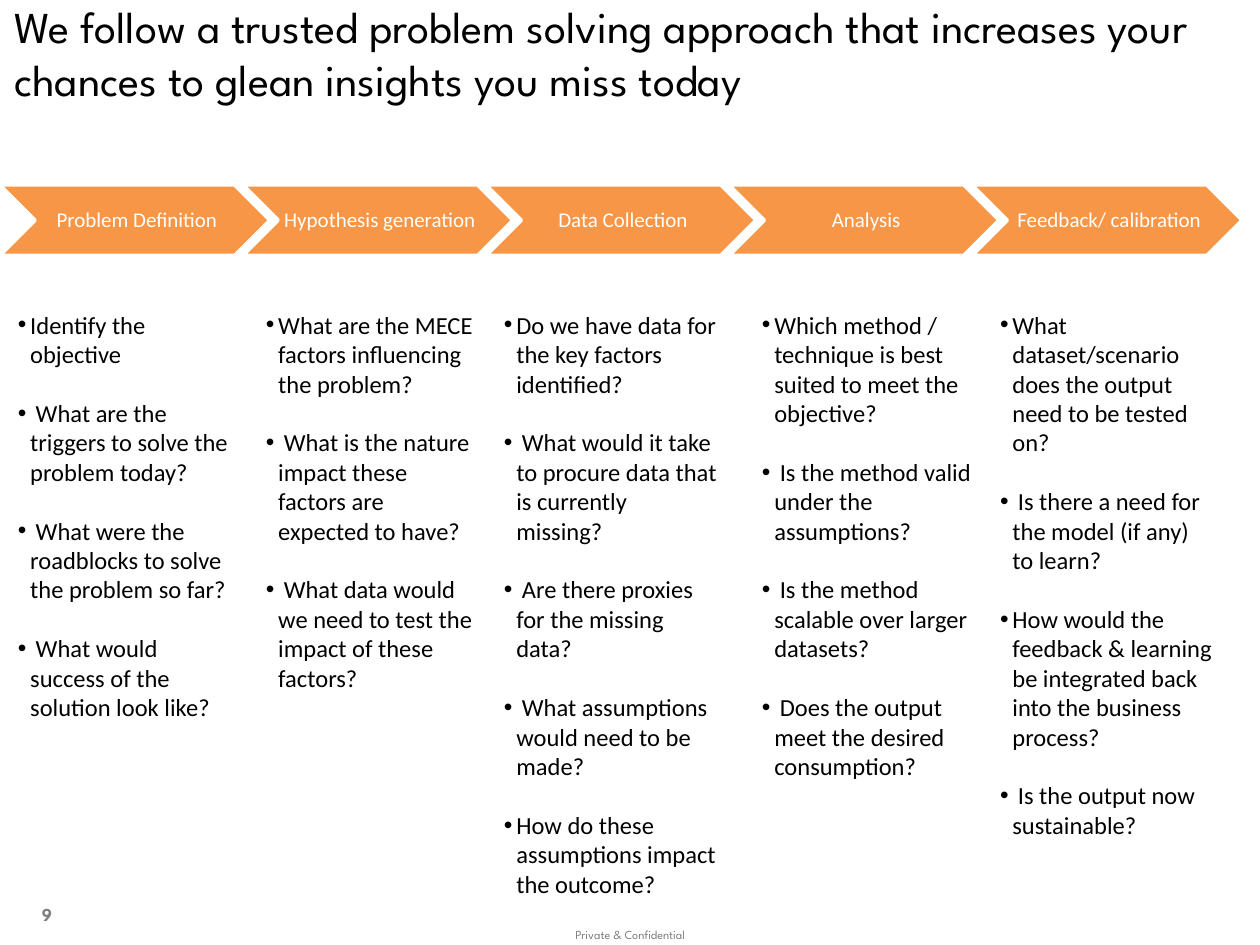
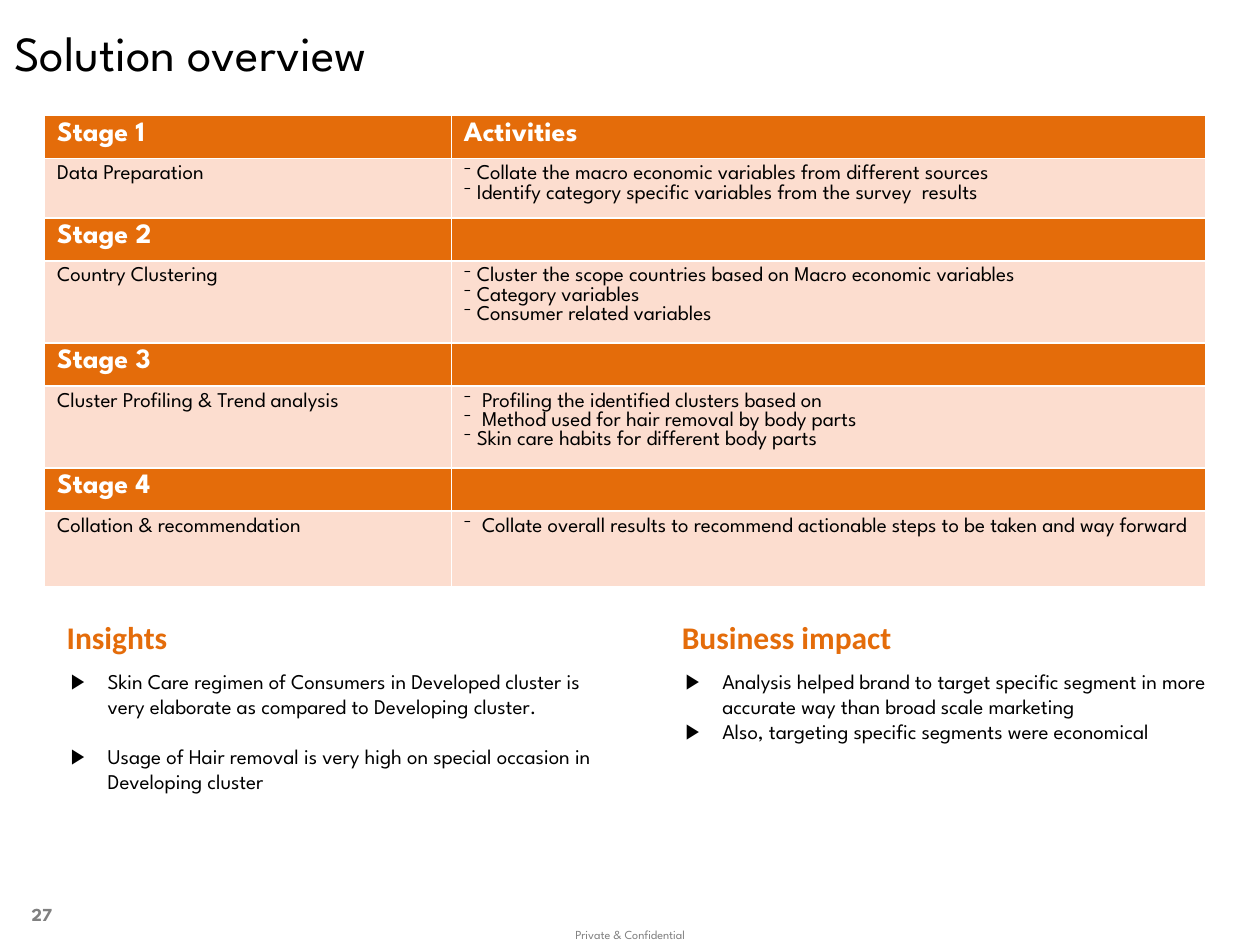
import pptx
import pptx.dml.color
import pptx.enum.shapes
import pptx.enum.text
import pptx.oxml
import pptx.oxml.ns
import pptx.util
from lxml import etree

Cm = pptx.util.Cm
Pt = pptx.util.Pt
ALIGN = pptx.enum.text.PP_ALIGN
ANCHOR = pptx.enum.text.MSO_ANCHOR
qn = pptx.oxml.ns.qn

COLORS = {
    "text": "000000",
    "white": "FFFFFF",
    "footer": "808080",
    "step": "F79646",
    "accent": "E46C0A",
    "activity": "FCDDCF",
}
DISPLAY = "League Spartan"
BODY = "Calibri"


def style(name, size, color="text", bold=False, **paragraph):
    return {
        "font": {"name": name, "size": Pt(size), "bold": bold},
        "color": color,
        "paragraph": paragraph,
    }


STYLES = {
    "page": style(DISPLAY, 10.5, "footer", True, alignment=ALIGN.RIGHT),
    "footer": style(DISPLAY, 7, "footer", alignment=ALIGN.CENTER, line_spacing=0.9),
    "step": style(BODY, 12, "white", alignment=ALIGN.CENTER, line_spacing=0.9),
    "question": style(BODY, 14, space_after=Pt(16.8)),
    "stage": style(DISPLAY, 16, "white", True),
    "activity": style(DISPLAY, 12),
    "heading": style(BODY, 18, "accent", True, space_before=Pt(0)),
    "finding": style(DISPLAY, 12, space_before=Pt(0)),
}

STEPS = [
    ("Problem Definition", 0.11, [
        "Identify the objective",
        " What are the triggers to solve the problem today?",
        " What were the roadblocks to solve the problem so far?",
        " What would success of the solution look like?",
    ]),
    ("Hypothesis generation", 5.11, [
        "What are the MECE factors influencing the problem?",
        " What is the nature impact these factors are expected to have?",
        " What data would we need to test the impact of these factors?",
    ]),
    ("Data Collection", 9.91, [
        "Do we have data for the key factors identified?",
        " What would it take to procure data that is currently missing?",
        " Are there proxies  for the missing data?",
        " What assumptions would need to be made?",
        "How do these assumptions impact the outcome?",
    ]),
    ("Analysis", 15.11, [
        "Which method / technique is best suited to meet the objective?",
        " Is the method valid under the assumptions?",
        " Is the method scalable over larger datasets?",
        " Does the output meet the desired consumption?",
    ]),
    ("Feedback/ calibration", 19.91, [
        "What dataset/scenario does the output need to be tested on?",
        " Is there a need for the model (if any) to learn?",
        "How would the feedback & learning be integrated back into the business process?",
        " Is the output now sustainable?",
    ]),
]

STAGES = [
    ("Data Preparation", 1.19, [
        "Collate the macro economic variables from different sources",
        "Identify category specific variables from the survey  results",
    ]),
    ("Country Clustering", 1.6, [
        "Cluster the scope countries based on Macro economic variables",
        "Category variables",
        "Consumer related variables",
    ]),
    ("Cluster Profiling & Trend analysis", 1.55, [
        " Profiling the identified clusters based on",
        " Method used for hair removal by body parts",
        "Skin care habits for different body parts",
    ]),
    ("Collation & recommendation", 1.52, [
        " Collate overall results to recommend actionable steps to be taken and way forward",
    ]),
]

FINDINGS = [
    ("Insights", 1.09, 1.3, 11.23, 14.4, [
        "Skin Care regimen of Consumers in Developed cluster is very elaborate as compared to Developing cluster.",
        "Usage of Hair removal is very high on special occasion in Developing cluster",
    ]),
    ("Business impact", 13.49, 13.69, 11.07, 0, [
        "Analysis helped brand to target specific segment in more accurate way than broad scale marketing",
        "Also, targeting specific segments were economical",
    ]),
]


def rgb(color):
    return pptx.dml.color.RGBColor.from_string(COLORS[color])


def set_values(target, values):
    for name, value in values.items():
        setattr(target, name, value)


def place(shape, left, top, width, height):
    box = dict(left=left, top=top, width=width, height=height)
    set_values(shape, {side: Cm(length) for side, length in box.items()})


def set_margins(frame, left, top, right, bottom):
    margins = dict(left=left, top=top, right=right, bottom=bottom)
    set_values(frame, {f"margin_{side}": Cm(size) for side, size in margins.items()})


def add_bullet(paragraph, mark, indent):
    properties = paragraph._p.get_or_add_pPr()
    properties.set("marL", str(Cm(indent)))
    properties.set("indent", str(-Cm(indent)))
    etree.SubElement(properties, qn("a:buFont"), typeface="Arial")
    etree.SubElement(properties, qn("a:buChar"), char=mark)


def write(frame, lines, look, mark=None, indent=0.25):
    for number, line in enumerate(lines):
        paragraph = frame.add_paragraph() if number else frame.paragraphs[0]
        set_values(paragraph, look["paragraph"])
        run = paragraph.add_run()
        run.text = line
        set_values(run.font, look["font"])
        run.font.color.rgb = rgb(look["color"])
        if mark:
            add_bullet(paragraph, mark, indent)


def add_text(slide, box, lines, look, anchor=ANCHOR.TOP, mark=None):
    frame = slide.shapes.add_textbox(*map(Cm, box)).text_frame
    set_values(frame, {"word_wrap": True, "vertical_anchor": anchor})
    write(frame, lines, look, mark)


def fill_placeholder(placeholder, box, lines, look, anchor=ANCHOR.TOP, mark=None, indent=0):
    place(placeholder, *box)
    frame = placeholder.text_frame
    set_values(frame, {
        "word_wrap": True,
        "vertical_anchor": anchor,
        "auto_size": pptx.enum.text.MSO_AUTO_SIZE.NONE,
    })
    write(frame, lines, look, mark, indent)


def add_slide(deck, layout, title, title_size, page):
    slide = deck.slides.add_slide(deck.slide_layouts.get_by_name(layout))
    title_style = style(DISPLAY, title_size, alignment=ALIGN.LEFT)
    fill_placeholder(slide.shapes.title, (0.03, 0, 25.37, 2.11), [title],
                     title_style, ANCHOR.MIDDLE)
    add_text(slide, (0, 17.92, 1.3, 1.02), [page], STYLES["page"], ANCHOR.MIDDLE)
    add_text(slide, (9.67, 18.61, 6.07, 0.46), ["Private & Confidential"], STYLES["footer"])
    return slide


def add_step(slide, left, label):
    box = map(Cm, (left, 3.73, 5.44, 1.42))
    step = slide.shapes.add_shape(pptx.enum.shapes.MSO_SHAPE.CHEVRON, *box)
    step.shadow.inherit = False
    step.fill.solid()
    step.fill.fore_color.rgb = rgb("step")
    step.line.color.rgb = rgb("white")
    step.line.width = Pt(2)
    frame = step.text_frame
    set_values(frame, {"word_wrap": False, "vertical_anchor": ANCHOR.MIDDLE})
    set_margins(frame, 0.13, 0.05, 0.05, 0.05)
    write(frame, [label], STYLES["step"])


def set_borders(cell):
    properties = cell._tc.get_or_add_tcPr()
    for edge in ("lnL", "lnR", "lnT", "lnB"):
        line = etree.SubElement(properties, qn(f"a:{edge}"), w=str(Pt(1)))
        solid = etree.SubElement(line, qn("a:solidFill"))
        etree.SubElement(solid, qn("a:srgbClr"), val=COLORS["white"])


def fill_cell(cell, lines, look, fill, mark=None):
    set_borders(cell)
    cell.margin_bottom = 0
    cell.fill.solid()
    cell.fill.fore_color.rgb = rgb(fill)
    if lines:
        write(cell.text_frame, lines, look, mark, 0.26)
    else:
        etree.SubElement(cell.text_frame.paragraphs[0]._p, qn("a:endParaRPr"), sz="1200")


def add_stage_table(slide):
    box = map(Cm, (0.9, 2.33, 23.4, 9.42))
    table = slide.shapes.add_table(2 * len(STAGES), 2, *box).table
    table.horz_banding = False
    for column, width in zip(table.columns, (8.2, 15.2)):
        column.width = Cm(width)
    for number, (stage, height, activities) in enumerate(STAGES):
        top = 2 * number
        table.rows[top].height = Cm(0.87)
        table.rows[top + 1].height = Cm(height)
        header = [] if number else ["Activities"]
        for column, lines in enumerate(([f"Stage {number + 1}"], header)):
            fill_cell(table.cell(top, column), lines, STYLES["stage"], "accent")
        fill_cell(table.cell(top + 1, 0), [stage], STYLES["activity"], "activity")
        fill_cell(table.cell(top + 1, 1), activities, STYLES["activity"], "activity", "⁻")


def add_finding(heading_holder, list_holder, finding):
    heading, heading_left, list_left, list_width, gap, points = finding
    fill_placeholder(heading_holder, (heading_left, 12.33, 7, 1.02), [heading],
                     STYLES["heading"])
    look = dict(STYLES["finding"])
    look["paragraph"] = {**look["paragraph"], "space_after": Pt(gap)}
    fill_placeholder(list_holder, (list_left, 13.34, list_width, 3.2), points, look,
                     mark="▶", indent=0.74)
    set_margins(list_holder.text_frame, 0.13, 0.13, 0.13, 0.13)


def build_approach(deck):
    title = ("We follow a trusted problem solving approach that increases your "
             "chances to glean insights you miss today")
    slide = add_slide(deck, "Title Only", title, 25.2, "9")
    for number, (label, left, questions) in enumerate(STEPS):
        add_step(slide, 4.9 * number, label)
        add_text(slide, (left, 6.12, 4.8, 12), questions, STYLES["question"], mark="•")


def build_overview(deck):
    slide = add_slide(deck, "Comparison", "Solution overview", 28, "27")
    add_stage_table(slide)
    holders = list(slide.placeholders)[1:]
    for number, finding in enumerate(FINDINGS):
        add_finding(holders[2 * number], holders[2 * number + 1], finding)


def main():
    deck = pptx.Presentation()
    deck.slide_width, deck.slide_height = Cm(25.4), Cm(19.05)
    build_approach(deck)
    build_overview(deck)
    deck.save("out.pptx")


if __name__ == "__main__":
    main()
